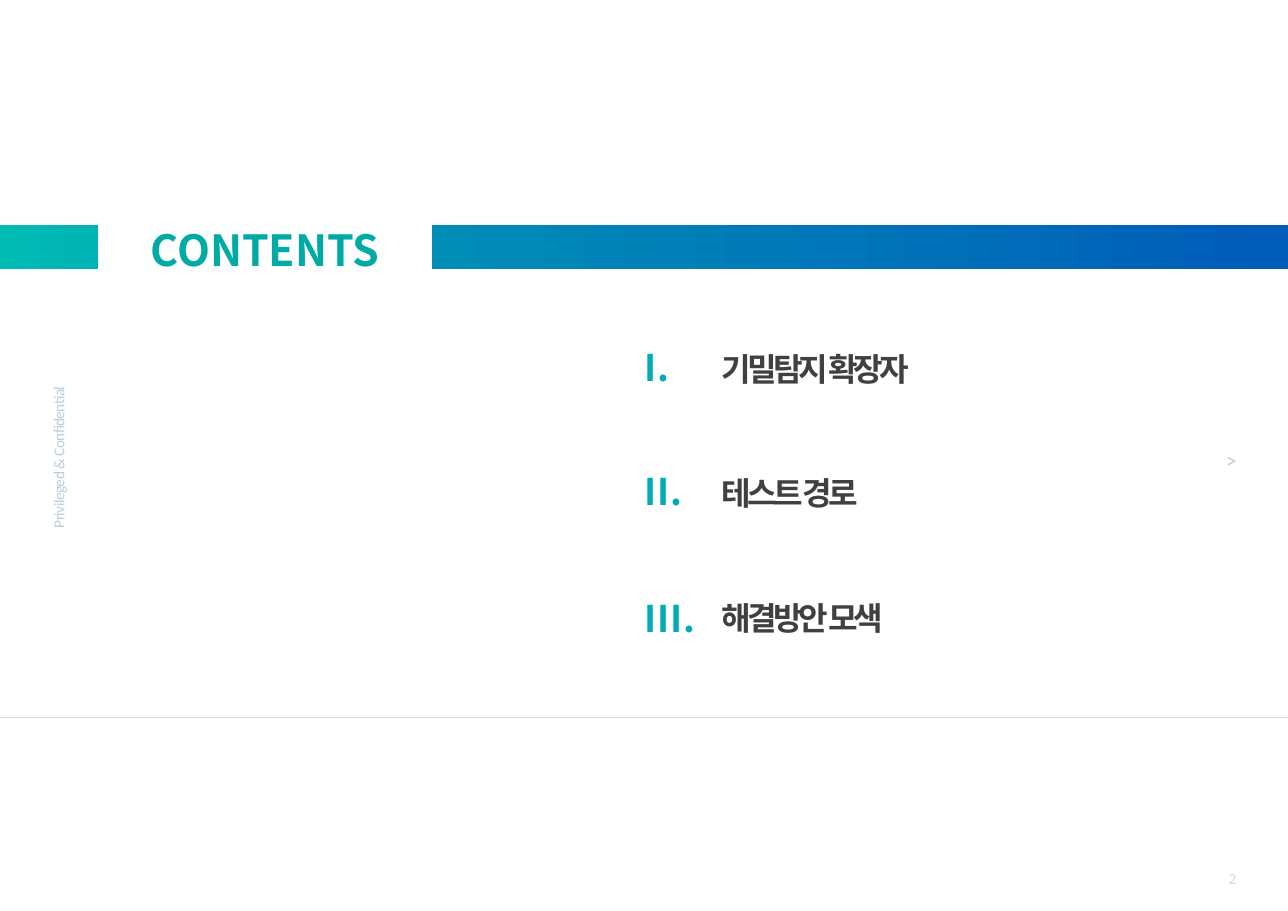
from copy import deepcopy

from lxml import etree
from pptx import Presentation
from pptx.dml.color import RGBColor
from pptx.enum.shapes import MSO_CONNECTOR, MSO_SHAPE
from pptx.enum.text import MSO_ANCHOR, MSO_AUTO_SIZE, PP_ALIGN
from pptx.oxml.ns import qn
from pptx.util import Inches, Pt

RECT, STRAIGHT = MSO_SHAPE.RECTANGLE, MSO_CONNECTOR.STRAIGHT
TOP, MIDDLE = MSO_ANCHOR.TOP, MSO_ANCHOR.MIDDLE
LEFT, CENTER, RIGHT = PP_ALIGN.LEFT, PP_ALIGN.CENTER, PP_ALIGN.RIGHT
NO_FIT, GROW = MSO_AUTO_SIZE.NONE, MSO_AUTO_SIZE.SHAPE_TO_FIT_TEXT

HEAD, BODY = "Noto Sans CJK KR", "Calibri"
COLORS = {
    "white": "FFFFFF", "mint": "00BBB4", "sea": "0088B7", "blue": "005CB9",
    "title": "00ABA5", "title_end": "018EAA", "number": "00ACB5",
    "text": "404040", "rule": "D4DDE4", "note": "BFCCD6", "page": "D9D9D9",
}
ITEMS = [("I.", "기밀탐지 확장자", 1.0), ("II.", "테스트 경로", 1.0),
         ("III.", "해결방안 모색", 1.1)]


def rgb(name):
    """Return the named colour."""
    return RGBColor.from_string(COLORS[name])


def gradient(fill, element, stops):
    """Give a fill inside element a left-to-right gradient."""
    fill.gradient()
    fill.gradient_angle = 0
    gs_list = next(element.iter(qn("a:gsLst")))
    while len(gs_list) < len(stops):
        gs_list.append(deepcopy(gs_list[0]))
    for stop, (position, color) in zip(fill.gradient_stops, stops):
        stop.position = position
        stop.color.rgb = rgb(color)


def write(tf, text, size=10, font=BODY, color="text", bold=False,
          spacing=0, line=1.0, align=LEFT):
    """Write one formatted paragraph and return its run."""
    p = tf.paragraphs[0]
    p.alignment, p.line_spacing = align, line
    r = p.add_run()
    r.text = text
    r.font.size, r.font.name, r.font.bold = Pt(size), font, bold
    r.font.color.rgb = rgb(color)
    rPr = r.font._element
    rPr.set("spc", str(int(spacing * 100)))
    etree.SubElement(rPr, qn("a:ea")).set("typeface", font)
    return r


class ContentsSlide:
    """Draw on one slide, with lengths in percent of its size."""

    def __init__(self, prs):
        """Add a slide that has only a title."""
        self.width, self.height = prs.slide_width, prs.slide_height
        self.s = prs.slides.add_slide(prs.slide_layouts[5])

    def place(self, x, y, w, h):
        """Turn percentages into slide lengths."""
        return (int(x * self.width / 100), int(y * self.height / 100),
                int(w * self.width / 100), int(h * self.height / 100))

    def bar(self, box, stops):
        """Draw a gradient bar behind the title."""
        sp = self.s.shapes.add_shape(RECT, *self.place(*box))
        sp.shadow.inherit = False
        sp.line.fill.background()
        gradient(sp.fill, sp._element, stops)
        self.s.shapes._spTree.insert(2, sp._element)

    def title(self, box, text):
        """Fill the title placeholder on a white panel."""
        sp = self.s.shapes.title
        sp.left, sp.top, sp.width, sp.height = self.place(*box)
        sp.fill.solid()
        sp.fill.fore_color.rgb = rgb("white")
        tf = sp.text_frame
        tf.auto_size, tf.vertical_anchor = NO_FIT, MIDDLE
        r = write(tf, text, size=28, font=HEAD, color="title", bold=True,
                  line=1.1, align=CENTER)
        gradient(r.font.fill, r.font._element,
                 [(0, "title"), (1, "title_end")])

    def rule(self, y):
        """Draw a thin line across the slide."""
        x, top, w, _ = self.place(0, y, 100, 0)
        line = self.s.shapes.add_connector(STRAIGHT, x, top, x + w, top)
        line.line.color.rgb = rgb("rule")
        line.line.width = Pt(0.5)
        etree.SubElement(line._element.spPr, qn("a:effectLst"))

    def text(self, box, text, rotation=0, wrap=False, anchor=TOP, **style):
        """Add a text box."""
        sp = self.s.shapes.add_textbox(*self.place(*box))
        sp.rotation = rotation
        tf = sp.text_frame
        tf.word_wrap, tf.vertical_anchor = wrap, anchor
        tf.auto_size = NO_FIT if wrap else GROW
        write(tf, text, **style)

    def contents(self, x, y, widths, row, items):
        """Add the table of numbered chapters."""
        box = self.place(x, y, sum(widths), row * len(items))
        table = self.s.shapes.add_table(len(items), len(widths), *box).table
        table.first_row = table.horz_banding = False
        for column, width in zip(table.columns, widths):
            column.width = self.place(0, 0, width, 0)[2]
        for i, (number, name, line) in enumerate(items):
            table.rows[i].height = self.place(0, 0, 0, row)[3]
            for j in range(len(widths)):
                table.cell(i, j).fill.background()
                table.cell(i, j).vertical_anchor = MIDDLE
            write(table.cell(i, 0).text_frame, number, size=24, font=HEAD,
                  color="number", bold=True, spacing=0.5, line=line)
            write(table.cell(i, 1).text_frame, name, size=21, font=HEAD,
                  bold=True, spacing=-2.5, line=1.1)


def main():
    """Build and save the contents slide."""
    prs = Presentation()
    prs.slide_width, prs.slide_height = Inches(11.69), Inches(8.27)
    s = ContentsSlide(prs)
    s.bar((0, 24.67, 100, 4.84), [(0, "mint"), (0.4, "sea"), (1, "blue")])
    s.title((7.61, 21.64, 25.92, 10.88), "CONTENTS")
    s.rule(78.72)
    s.text((-2.22, 48, 13.09, 3.87), "Privileged & Confidential",
           rotation=270, color="note", spacing=-0.3, line=1.3)
    s.text((94.35, 47.64, 2.57, 4.96), ">", size=14, color="note", line=1.3)
    s.contents(49.19, 33.25, (5.99, 34.64), 13.66, ITEMS)
    s.text((74.34, 93.71, 22.5, 5.32), "2", wrap=True, anchor=MIDDLE,
           color="page", align=RIGHT)
    prs.save("out.pptx")


if __name__ == "__main__":
    main()
